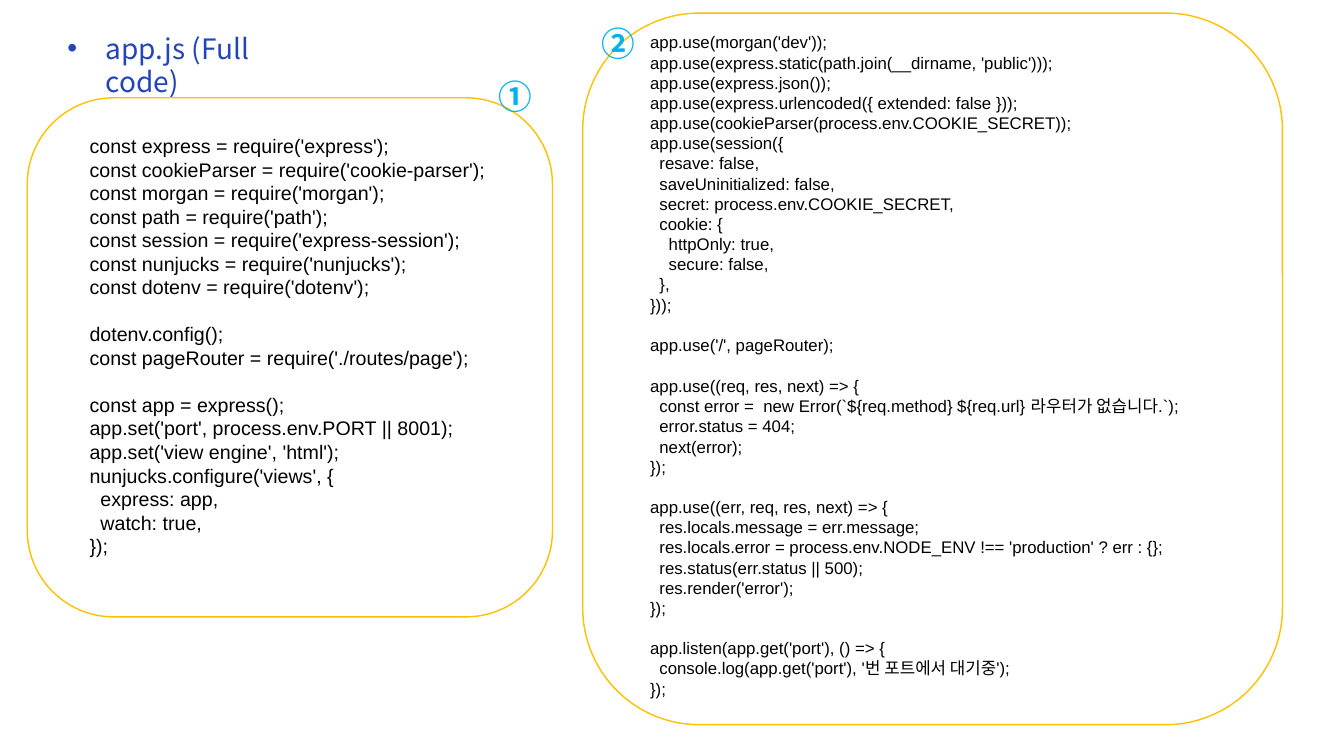
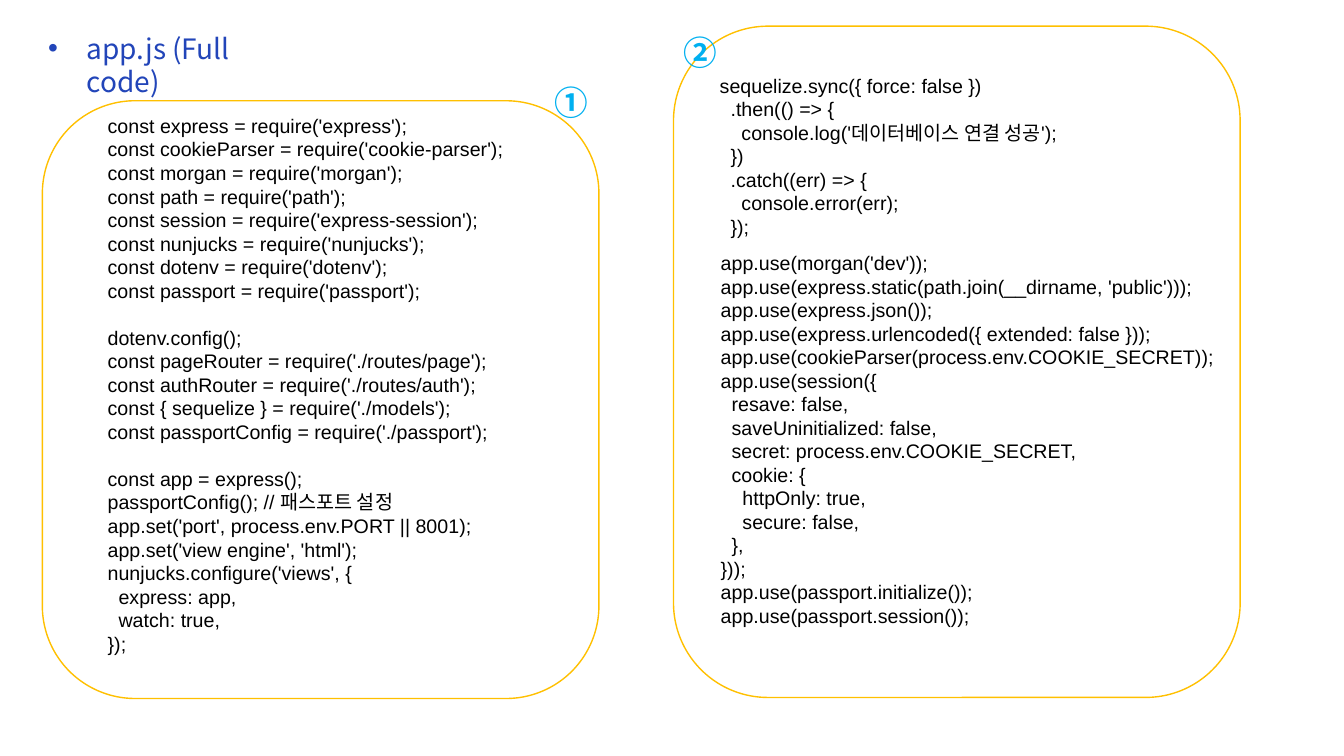
from dataclasses import dataclass

from lxml import etree
from pptx import Presentation
from pptx.dml.color import RGBColor
from pptx.enum.shapes import MSO_SHAPE
from pptx.oxml.ns import qn
from pptx.util import Inches, Pt

ROUNDED = MSO_SHAPE.ROUNDED_RECTANGLE


@dataclass(frozen=True)
class Theme:
    """Colours, fonts and type sizes of the deck."""
    title: RGBColor = RGBColor(0x22, 0x45, 0xB9)
    code: RGBColor = RGBColor(0x00, 0x00, 0x00)
    outline: RGBColor = RGBColor(0xFF, 0xC0, 0x00)
    badge: RGBColor = RGBColor(0x00, 0xB0, 0xF0)
    code_font: str = "Arial"
    text_font: str = "Noto Sans CJK KR"
    title_size: int = 20
    badge_size: int = 24
    code_size: int = 14
    small_code_size: int = 12
    leading: float = 1.2


THEME = Theme()

REQUIRES = """const express = require('express');
const cookieParser = require('cookie-parser');
const morgan = require('morgan');
const path = require('path');
const session = require('express-session');
const nunjucks = require('nunjucks');
const dotenv = require('dotenv');"""

ROUTERS = """

dotenv.config();
const pageRouter = require('./routes/page');"""

CREATE_APP = """

const app = express();"""

SETTINGS = """
app.set('port', process.env.PORT || 8001);
app.set('view engine', 'html');
nunjucks.configure('views', {
  express: app,
  watch: true,
});"""

MIDDLEWARE = """app.use(morgan('dev'));
app.use(express.static(path.join(__dirname, 'public')));
app.use(express.json());
app.use(express.urlencoded({ extended: false }));
app.use(cookieParser(process.env.COOKIE_SECRET));
app.use(session({
  resave: false,
  saveUninitialized: false,
  secret: process.env.COOKIE_SECRET,
  cookie: {
    httpOnly: true,
    secure: false,
  },
}));"""

PAGE_ROUTE = """

app.use('/', pageRouter);"""

ERRORS_AND_LISTEN = """app.use((req, res, next) => {
  const error =  new Error(`${req.method} ${req.url} 라우터가 없습니다.`);
  error.status = 404;
  next(error);
});

app.use((err, req, res, next) => {
  res.locals.message = err.message;
  res.locals.error = process.env.NODE_ENV !== 'production' ? err : {};
  res.status(err.status || 500);
  res.render('error');
});

app.listen(app.get('port'), () => {
  console.log(app.get('port'), '번 포트에서 대기중');
});"""

PASSPORT_REQUIRE = """
const passport = require('passport');"""

AUTH_REQUIRES = """
const authRouter = require('./routes/auth');
const { sequelize } = require('./models');
const passportConfig = require('./passport');"""

PASSPORT_CONFIG = """
passportConfig(); // 패스포트 설정"""

DATABASE_SYNC = """sequelize.sync({ force: false })
  .then(() => {
    console.log('데이터베이스 연결 성공');
  })
  .catch((err) => {
    console.error(err);
  });"""

PASSPORT_MIDDLEWARE = """
app.use(passport.initialize());
app.use(passport.session());"""


def add_text(s, box, wrap=True):
    """Add an empty text box and return its text frame."""
    tf = s.shapes.add_textbox(*(Inches(v) for v in box)).text_frame
    tf.word_wrap = wrap
    return tf


def style(p, font, size, color, bold=False):
    """Format a paragraph and its runs, Korean glyphs included."""
    p.line_spacing = Pt(size * THEME.leading)
    for r in p.runs:
        r.font.name = font
        r.font.size = Pt(size)
        r.font.bold = bold
        r.font.color.rgb = color
        ea = etree.SubElement(r.font._element, qn("a:ea"))
        ea.set("typeface", THEME.text_font)


def add_title(s, left, top):
    """Add the bulleted slide title."""
    p = add_text(s, (left, top, 2.6, 0.8)).paragraphs[0]
    p.text = "app.js (Full code)"
    pPr = p._p.get_or_add_pPr()
    pPr.set("marL", str(Inches(0.38)))
    pPr.set("indent", str(Inches(-0.38)))
    style(p, THEME.text_font, THEME.title_size, THEME.title)
    etree.SubElement(pPr, qn("a:buFont")).set("typeface", THEME.code_font)
    etree.SubElement(pPr, qn("a:buChar")).set("char", "•")


def add_code(s, box, code, size):
    """Add code lines, with one line of space between blocks."""
    tf = add_text(s, box)
    p = tf.paragraphs[0]
    for b, block in enumerate(code.split("\n\n")):
        for i, line in enumerate(block.split("\n")):
            if b or i:
                p = tf.add_paragraph()
            p.text = line
            if b and not i:
                p.space_before = Pt(size * THEME.leading)
            style(p, THEME.code_font, size, THEME.code)


def add_panel(s, box, number, badge_at, listings, size=THEME.code_size):
    """Add an outlined panel with its code listings and number badge."""
    left, top, width, height = box
    for dx, dy, code in listings:
        lines = code.count("\n") + 1
        code_height = 0.1 + lines * size * THEME.leading / 72
        add_code(s, (left + dx, top + dy, 6.67, code_height), code, size)
    sp = s.shapes.add_shape(ROUNDED, *(Inches(v) for v in box))
    sp.shadow.inherit = False
    sp.fill.background()
    sp.line.color.rgb = THEME.outline
    sp.line.width = Pt(1)
    dx, dy = badge_at
    p = add_text(s, (left + dx, top + dy, 0.54, 0.5), wrap=False).paragraphs[0]
    p.text = number
    style(p, THEME.text_font, THEME.badge_size, THEME.badge, bold=True)


def basic_slide(s):
    """Build the slide with the basic app.js."""
    add_title(s, 0.57, 0.26)
    setup = REQUIRES + ROUTERS + CREATE_APP + SETTINGS
    add_panel(s, (0.27, 0.97, 5.21, 5.15), "①", (4.58, -0.27),
              [(0.52, 0.31, setup)])
    add_panel(s, (5.78, 0.13, 6.94, 7.06), "②", (0.09, 0.05),
              [(0.57, 0.14, MIDDLEWARE + PAGE_ROUTE),
               (0.57, 3.55, ERRORS_AND_LISTEN)], THEME.small_code_size)


def passport_slide(s):
    """Build the slide with app.js extended by login and database."""
    add_title(s, 0.38, 0.26)
    setup = (REQUIRES + PASSPORT_REQUIRE + ROUTERS + AUTH_REQUIRES
             + CREATE_APP + PASSPORT_CONFIG + SETTINGS)
    add_panel(s, (0.42, 1, 5.52, 5.93), "①", (4.98, -0.24),
              [(0.55, 0.08, setup)])
    add_panel(s, (6.68, 0.26, 5.62, 6.66), "②", (0, 0.01),
              [(0.36, 0.42, DATABASE_SYNC),
               (0.37, 2.18, MIDDLEWARE + PASSPORT_MIDDLEWARE)])


def main():
    """Build and save the deck."""
    prs = Presentation()
    prs.slide_width, prs.slide_height = Inches(13.33), Inches(7.5)
    for build in (basic_slide, passport_slide):
        build(prs.slides.add_slide(prs.slide_layouts[6]))
    prs.save("out.pptx")


if __name__ == "__main__":
    main()
